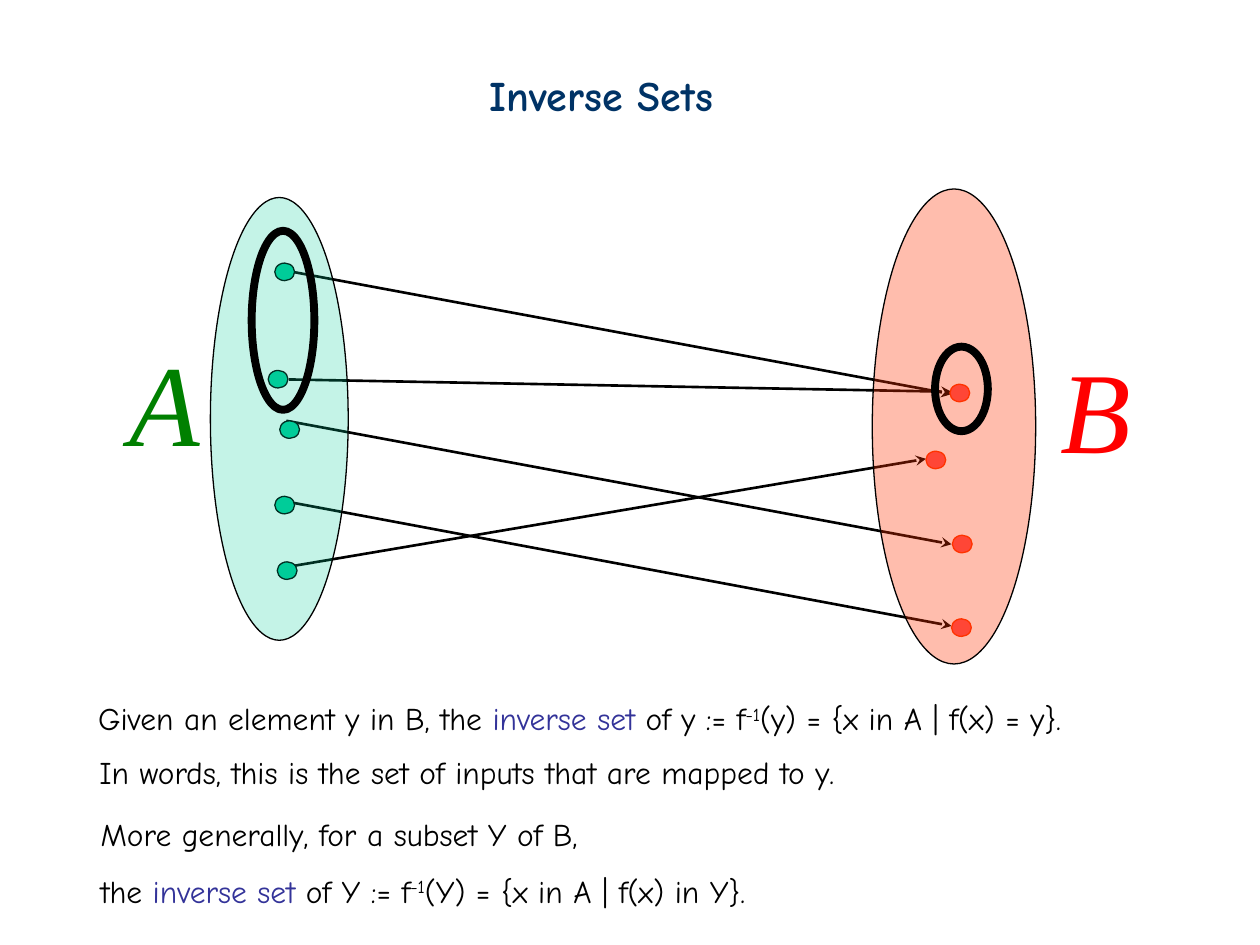
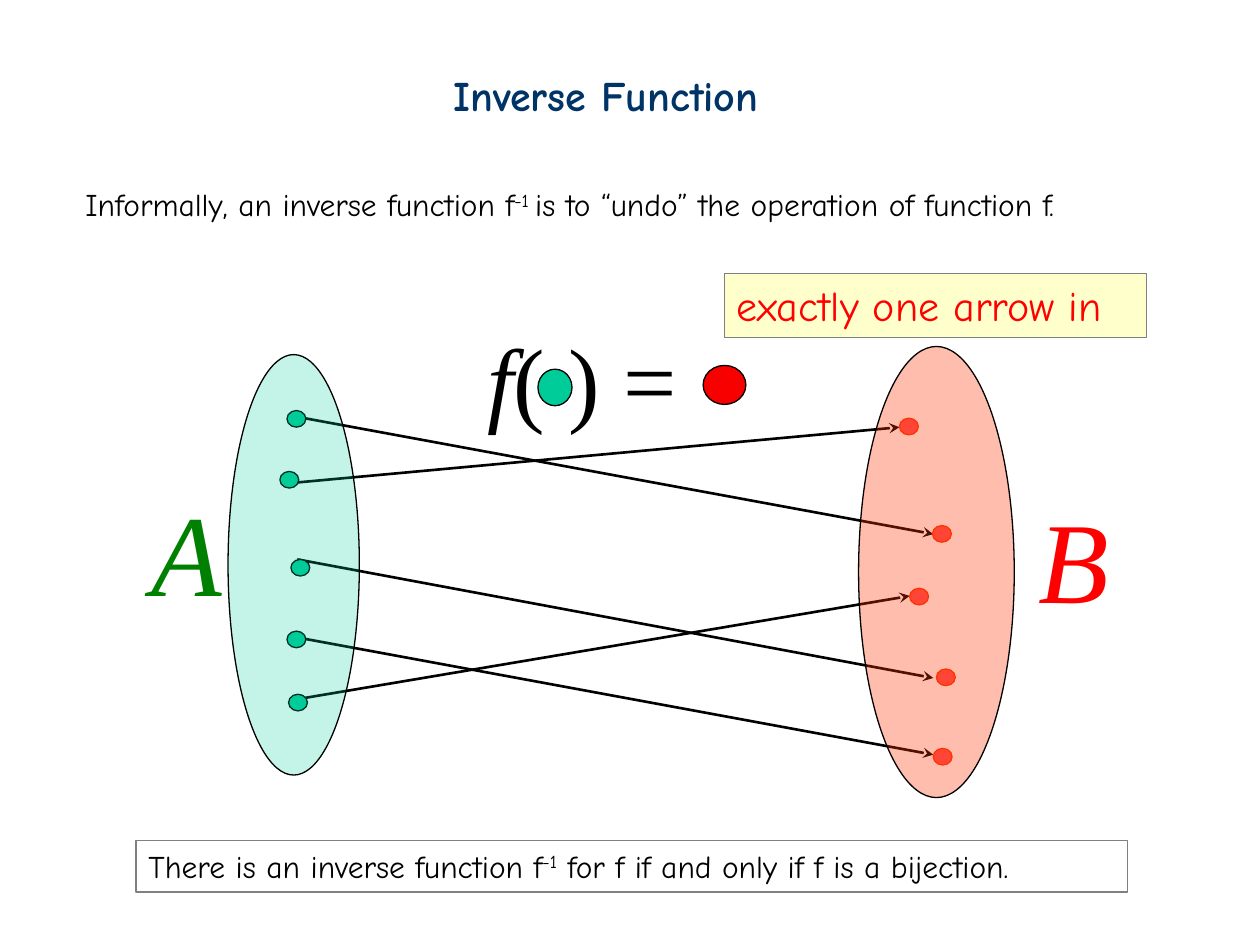
from dataclasses import dataclass

import pptx
import pptx.dml.color
import pptx.enum.shapes
import pptx.enum.text
import pptx.oxml
import pptx.oxml.ns
import pptx.util

ELLIPSE = pptx.enum.shapes.MSO_SHAPE.OVAL
RECTANGLE = pptx.enum.shapes.MSO_SHAPE.RECTANGLE
STRAIGHT = pptx.enum.shapes.MSO_CONNECTOR.STRAIGHT


@dataclass(frozen=True)
class Theme:
    body_font: str = "Comic Neue"
    math_font: str = "Times New Roman"
    title_size: int = 24
    body_size: int = 18
    formula_size: int = 54
    set_name_size: int = 66
    thin: float = 0.75
    arrow: float = 1.5
    ring: float = 4.5
    black: str = "000000"
    title: str = "003366"
    term: str = "333399"
    domain: str = "00CC99"
    domain_name: str = "008000"
    codomain: str = "FF3300"
    codomain_dot: str = "FF5050"
    codomain_name: str = "FF0000"
    value_dot: str = "F80000"
    frame: str = "808080"
    note: str = "FFFFCC"


THEME = Theme()


@dataclass(frozen=True)
class Box:
    """An area in inches, divided into columns and rows."""
    left: float
    top: float
    width: float
    height: float
    columns: int = 100
    rows: int = 100

    def point(self, column, row):
        return (pptx.util.Inches(self.left + column * self.width / self.columns),
                pptx.util.Inches(self.top + row * self.height / self.rows))

    def size(self, columns, rows):
        return (pptx.util.Inches(columns * self.width / self.columns),
                pptx.util.Inches(rows * self.height / self.rows))

    def place(self, column, row, columns, rows):
        return *self.point(column, row), *self.size(columns, rows)

    def inner_box(self, column, row, columns, rows):
        return Box(*(length.inches for length in self.place(column, row, columns, rows)))


PAGE = Box(0, 0, 10, 7.5, columns=100, rows=75)


@dataclass(frozen=True)
class Mapping:
    """Dots as left, top and arrows as start, end, in hundredths of the diagram."""
    inputs: tuple
    outputs: tuple
    arrows: tuple


INVERSE_SETS = Mapping(
    inputs=((7.8, 15.6), (7, 38.2), (8.4, 48.8), (7.8, 64.7), (8.1, 78.5)),
    outputs=((89.6, 41.1), (86.7, 55.2), (89.9, 72.9), (89.8, 90.5)),
    arrows=(((9.2, 17.2), (89.8, 43.2)), ((9.5, 40.1), (89.8, 42.7)),
            ((9.2, 48.8), (89.8, 74.8)), ((9.2, 65.8), (89.8, 92)),
            ((9.2, 79.6), (86.7, 56.8))))

BIJECTION = Mapping(
    inputs=((7.5, 14.2), (6.6, 27.7), (8, 47.2), (7.5, 63.1), (7.7, 77.1)),
    outputs=((85.4, 15.9), (89.6, 39.7), (86.7, 53.6), (90.1, 71.5), (89.7, 89.1)),
    arrows=(((8.8, 15.6), (89.7, 41.6)), ((7.2, 30.4), (85.4, 17.9)),
            ((8.8, 47.2), (89.7, 73.5)), ((8.8, 64.5), (89.7, 90.5)),
            ((8.8, 78.2), (86.7, 55.3))))


def rgb(color):
    return pptx.dml.color.RGBColor.from_string(color)


def add_drawing_element(parent, xml):
    """Append a DrawingML element, given as its tag and attributes."""
    tag, _, attributes = xml.partition(" ")
    namespace = pptx.oxml.ns.nsdecls("a")
    parent.append(pptx.oxml.parse_xml(f"<a:{tag} {namespace} {attributes}/>"))


def add_outline(slide, kind, place, fill=None, line=THEME.black,
                weight=THEME.thin, opacity=None):
    outline = slide.shapes.add_shape(kind, *place)
    outline.shadow.inherit = False
    outline.line.color.rgb = rgb(line)
    outline.line.width = pptx.util.Pt(weight)
    if fill is None:
        outline.fill.background()
    else:
        outline.fill.solid()
        outline.fill.fore_color.rgb = rgb(fill)
    if opacity is not None:
        color = outline._element.spPr.find(".//" + pptx.oxml.ns.qn("a:srgbClr"))
        add_drawing_element(color, f'alpha val="{opacity * 1000}"')
    return outline


def add_arrow(slide, start, end):
    arrow = slide.shapes.add_connector(STRAIGHT, *start, *end)
    arrow.line.color.rgb = rgb(THEME.black)
    arrow.line.width = pptx.util.Pt(THEME.arrow)
    add_drawing_element(arrow.line._get_or_add_ln(), 'tailEnd type="stealth"')
    add_drawing_element(arrow._element.spPr, "effectLst")


def write(holder, *lines, size=THEME.body_size, font=THEME.body_font,
          color=THEME.black, bold=False, spacing=None):
    """Fill a shape with lines of (text, role) runs; spacing applies after the first."""
    frame = holder.text_frame
    frame.word_wrap = True
    frame.vertical_anchor = pptx.enum.text.MSO_ANCHOR.TOP
    for number, runs in enumerate(lines):
        paragraph = frame.add_paragraph() if number else frame.paragraphs[0]
        paragraph.alignment = pptx.enum.text.PP_ALIGN.LEFT
        if number and spacing:
            paragraph.line_spacing = spacing
        for text, role in runs:
            run = paragraph.add_run()
            run.text = text
            run.font.name = font
            run.font.size = pptx.util.Pt(size)
            run.font.bold = bold
            run.font.italic = role == "variable"
            run.font.color.rgb = rgb(THEME.term if role == "term" else color)
            if role == "power":
                run._r.get_or_add_rPr().set("baseline", "30000")


def add_text(slide, place, *lines, **style):
    write(slide.shapes.add_textbox(*place), *lines, **style)


def add_title(slide, text, column, columns):
    add_text(slide, PAGE.place(column, 5, columns, 5), [(text, "")],
             size=THEME.title_size, color=THEME.title, bold=True)


def draw_mapping(slide, box, mapping):
    for start, end in mapping.arrows:
        add_arrow(slide, box.point(*start), box.point(*end))
    sides = (
        (mapping.inputs, THEME.domain, THEME.black, (0, 1.8, 16.7, 93.2),
         THEME.domain, 23, "A", (-11.3, 28.5), THEME.domain_name),
        (mapping.outputs, THEME.codomain_dot, THEME.codomain, (80.2, 0, 19.8, 100),
         THEME.codomain, 32, "B", (101.5, 30), THEME.codomain_name))
    for dots, fill, line, region, tint, opacity, name, corner, name_color in sides:
        for dot in dots:
            add_outline(slide, ELLIPSE, box.place(*dot, 2.4, 3.7), fill, line)
        add_outline(slide, ELLIPSE, box.place(*region), tint, opacity=opacity)
        name_size = PAGE.size(7.6, 12)
        add_text(slide, (*box.point(*corner), *name_size), [(name, "variable")],
                 size=THEME.set_name_size, font=THEME.math_font, color=name_color)


def draw_formula(slide, box):
    """f(green dot) = red dot"""
    add_text(slide, box.place(0, 0, 100, 100), [("f", "variable"), ("( ) =", "")],
             size=THEME.formula_size, font=THEME.math_font)
    add_outline(slide, ELLIPSE, box.place(20.3, 43, 11, 29), THEME.domain)
    add_outline(slide, ELLIPSE, box.place(73.6, 40, 13.8, 31), THEME.value_dot)


def build_inverse_sets(slide):
    add_title(slide, "Inverse Sets", 37.9, 22.9)
    diagram = PAGE.inner_box(16.7, 15, 65.5, 37.7)
    draw_mapping(slide, diagram, INVERSE_SETS)
    for subset in ((87.8, 33.2, 6.4, 17.8), (5, 8.8, 7.6, 37.7)):
        add_outline(slide, ELLIPSE, diagram.place(*subset), weight=THEME.ring)
    add_text(slide, PAGE.place(6.8, 55, 85.7, 4),
             [("Given an element y in B, the ", ""), ("inverse set", "term"),
              (" of y := f", ""), ("-1", "power"), ("(y) = {x in A | f(x) = y}.", "")])
    add_text(slide, PAGE.place(6.9, 59.3, 67.2, 4),
             [("In words, this is the set of inputs that are mapped to y.", "")])
    add_text(slide, PAGE.place(7, 64.2, 59.7, 8.6),
             [("More generally, for a subset Y of B,", "")],
             [("the ", ""), ("inverse set ", "term"), ("of Y := f", ""),
              ("-1", "power"), ("(Y) = {x in A | f(x) in Y}.", "")], spacing=1.5)


def build_inverse_function(slide):
    add_title(slide, "Inverse Function", 35, 28.8)
    draw_mapping(slide, PAGE.inner_box(18.1, 27.5, 62.4, 35.8), BIJECTION)
    draw_formula(slide, PAGE.inner_box(37.7, 25, 24.6, 10))
    condition = add_outline(slide, RECTANGLE, PAGE.place(57.5, 21.7, 33.5, 5.1),
                            THEME.note, THEME.frame)
    write(condition, [("exactly one arrow in", "")],
          size=THEME.title_size, color=THEME.codomain_name)
    add_text(slide, PAGE.place(5.8, 14.2, 88, 4),
             [("Informally, an inverse function f", ""), ("-1 ", "power"),
              ("is to “undo” the operation of function f.", "")])
    conclusion = add_outline(slide, RECTANGLE, PAGE.place(10.8, 66.7, 78.7, 4.1),
                             line=THEME.frame)
    write(conclusion, [("There is an inverse function f", ""), ("-1", "power"),
                       (" for f if and only if f is a bijection.", "")])


def main():
    deck = pptx.Presentation()
    deck.slide_width = pptx.util.Inches(PAGE.width)
    deck.slide_height = pptx.util.Inches(PAGE.height)
    for build in (build_inverse_sets, build_inverse_function):
        build(deck.slides.add_slide(deck.slide_layouts[6]))
    deck.save("out.pptx")


if __name__ == "__main__":
    main()
